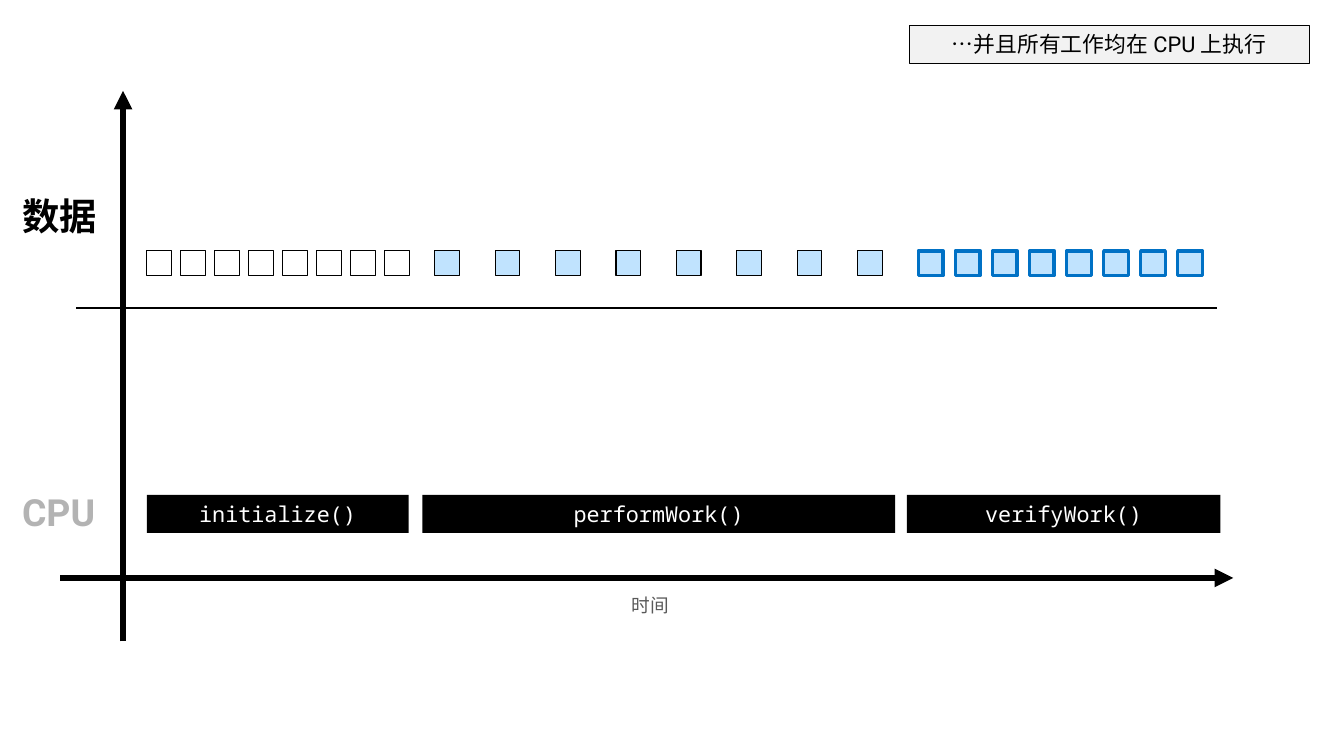
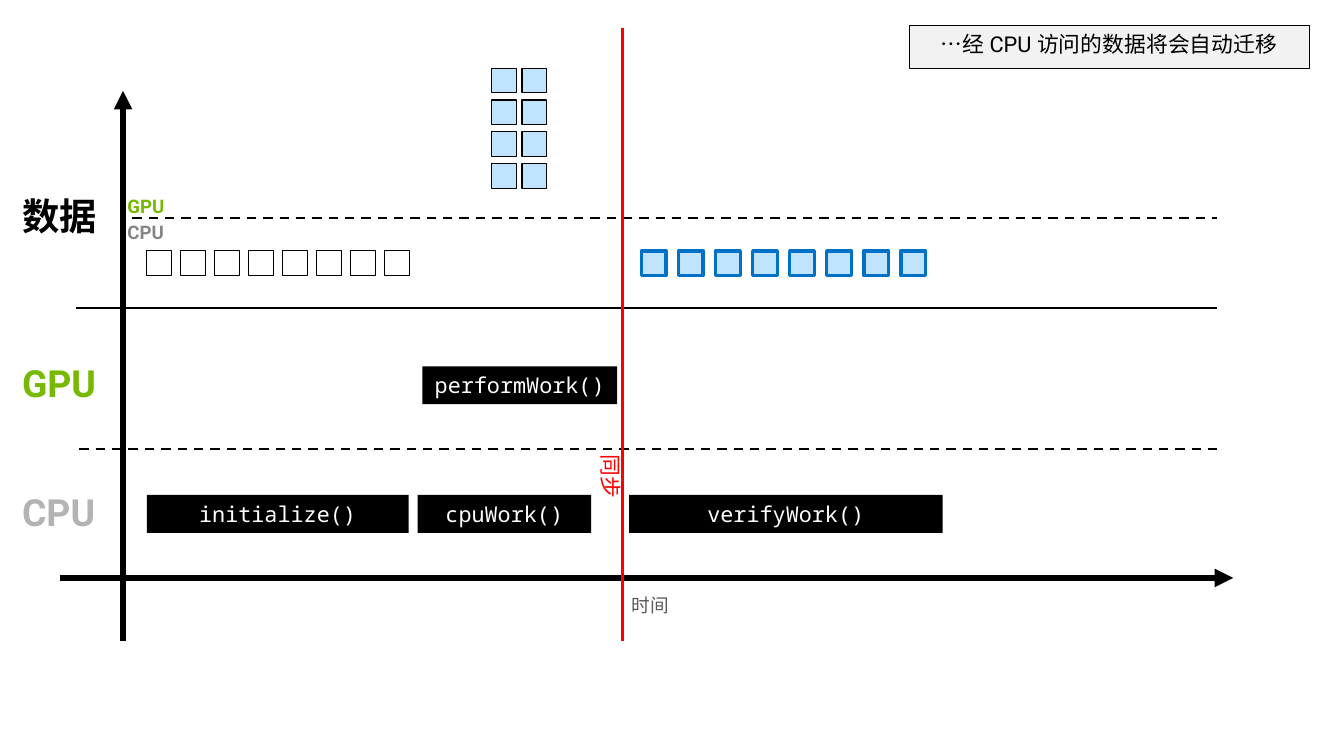
from dataclasses import dataclass
from itertools import product
from typing import Any, Optional

import pptx
import pptx.dml.color
import pptx.enum.dml
import pptx.enum.shapes
import pptx.enum.text
import pptx.oxml
import pptx.oxml.ns
import pptx.shapes.base
import pptx.slide
import pptx.util

Cm = pptx.util.Cm
Pt = pptx.util.Pt
RGBColor = pptx.dml.color.RGBColor
ALIGN = pptx.enum.text.PP_ALIGN
ANCHOR = pptx.enum.text.MSO_ANCHOR
RECTANGLE = pptx.enum.shapes.MSO_SHAPE.RECTANGLE
DASH = pptx.enum.dml.MSO_LINE.DASH

# Colours
BLACK = RGBColor(0x00, 0x00, 0x00)
WHITE = RGBColor(0xFF, 0xFF, 0xFF)
GPU_GREEN = RGBColor(0x76, 0xB9, 0x00)
CPU_GRAY = RGBColor(0xB3, 0xB3, 0xB3)
LANE_GRAY = RGBColor(0x86, 0x86, 0x86)
TIME_GRAY = RGBColor(0x59, 0x59, 0x59)
CALLOUT_GRAY = RGBColor(0xF2, 0xF2, 0xF2)
DATA_BLUE = RGBColor(0xC0, 0xE3, 0xFE)
VERIFIED_BLUE = RGBColor(0x00, 0x71, 0xC5)
SYNC_RED = RGBColor(0xFF, 0x00, 0x00)

# Text formats
ROW_FONT = {"name": "Roboto", "size": Pt(24), "bold": True}
LANE_FONT = {"name": "Roboto", "size": Pt(12), "bold": True}
TIME_FONT = {"name": "Roboto", "size": Pt(12)}
CODE_FONT = {"name": "Noto Sans Mono", "size": Pt(14)}
CALLOUT_FONT = {"name": "Arial", "size": Pt(14)}
CALLOUT_LATIN_FONT = {"name": "Roboto", "size": Pt(14)}

# Places shared by both slides, in centimetres
CELL = 0.56
DATA_TOP = 5.69
CPU_TOP = 11.23
GPU_TOP = 8.31
BAR_HEIGHT = 0.86
AXIS_BOTTOM = 14.55


@dataclass(frozen=True)
class Label:
    text: str
    left: float
    top: float
    width: float
    height: float
    font: dict[str, Any]
    color: RGBColor
    align: ALIGN = ALIGN.LEFT
    anchor: ANCHOR = ANCHOR.BOTTOM
    spacing: float = 0.9
    rotation: float = 0


@dataclass(frozen=True)
class Rule:
    x1: float
    y1: float
    x2: float
    y2: float
    width: float = 1.5
    color: RGBColor = BLACK
    dashed: bool = False
    arrow: bool = False


@dataclass(frozen=True)
class Task:
    call: str
    left: float
    width: float
    top: float = CPU_TOP


@dataclass(frozen=True)
class DataCells:
    left: float
    pitch: float
    fill: Optional[RGBColor] = DATA_BLUE
    outline: RGBColor = BLACK
    weight: float = 0.75
    top: float = DATA_TOP
    columns: int = 8
    rows: int = 1
    row_pitch: float = 0


@dataclass(frozen=True)
class Timeline:
    callout: tuple[str, str, str]
    callout_height: float
    rules: list[Rule]
    labels: list[Label]
    tasks: list[Task]
    cells: list[DataCells]
    sync: bool = False


# Content
AXES = [
    Rule(2.79, AXIS_BOTTOM, 2.79, 2.06, width=4, arrow=True),
    Rule(1.37, 13.11, 27.97, 13.11, width=4, arrow=True),
    Rule(1.73, 6.99, 27.61, 6.99),
]
AXIS_LABELS = [
    Label("CPU", 0.25, 11.07, 2.46, 1.19, ROW_FONT, CPU_GRAY),
    Label("数据", 0.25, 4.37, 2.79, 1.17, ROW_FONT, BLACK),
    Label("时间", 14, 13.36, 1.5, 0.76, TIME_FONT, TIME_GRAY, ALIGN.CENTER),
]
INITIALIZE = Task("initialize()", 3.33, 5.94)
INITIAL_CELLS = DataCells(3.33, 0.77, fill=None)
SYNC_RULE = Rule(14.12, 0.64, 14.12, AXIS_BOTTOM, color=SYNC_RED)
SYNC_LABEL = Label("同步", 12.22, 11.25, 3.25, 0.86, CALLOUT_FONT, SYNC_RED,
                   anchor=ANCHOR.TOP, spacing=1, rotation=90)

TIMELINES = [
    Timeline(
        callout=("…并且所有工作均在 ", "CPU ", "上执行"),
        callout_height=0.86,
        rules=AXES,
        labels=AXIS_LABELS,
        tasks=[INITIALIZE, Task("performWork()", 9.58, 10.72),
               Task("verifyWork()", 20.57, 7.11)],
        cells=[INITIAL_CELLS, DataCells(9.86, 1.37),
               DataCells(20.83, 0.84, outline=VERIFIED_BLUE, weight=2.25)],
    ),
    Timeline(
        callout=("…经 ", "CPU ", "访问的数据将会自动迁移"),
        callout_height=0.97,
        rules=AXES + [Rule(1.8, 10.19, 27.69, 10.19, dashed=True),
                      Rule(3, 4.95, 27.61, 4.95, dashed=True)],
        labels=AXIS_LABELS + [
            Label("GPU", 0.25, 8.15, 2.46, 1.17, ROW_FONT, GPU_GREEN),
            Label("CPU", 2.64, 4.93, 1.4, 0.71, LANE_FONT, LANE_GRAY),
            Label("GPU", 2.64, 4.34, 1.4, 0.71, LANE_FONT, GPU_GREEN),
        ],
        tasks=[INITIALIZE, Task("performWork()", 9.58, 4.42, GPU_TOP),
               Task("verifyWork()", 14.27, 7.11), Task("cpuWork()", 9.47, 3.94)],
        cells=[INITIAL_CELLS,
               DataCells(11.15, 0.69, top=1.55, columns=2, rows=4, row_pitch=0.72),
               DataCells(14.55, 0.84, outline=VERIFIED_BLUE, weight=2.25)],
        sync=True,
    ),
]


# Drawing
def write_run(paragraph: Any, text: str, font: dict[str, Any], color: RGBColor) -> None:
    run = paragraph.add_run()
    run.text = text
    for attribute, value in font.items():
        setattr(run.font, attribute, value)
    run.font.color.rgb = color


def draw_box(shapes: Any, left: float, top: float, width: float, height: float,
             fill: Optional[RGBColor], outline: Optional[RGBColor] = None,
             weight: float = 0.75) -> pptx.shapes.base.BaseShape:
    box = shapes.add_shape(RECTANGLE, Cm(left), Cm(top), Cm(width), Cm(height))
    box.shadow.inherit = False
    if fill is None:
        box.fill.background()
    else:
        box.fill.solid()
        box.fill.fore_color.rgb = fill
    if outline is None:
        box.line.fill.background()
    else:
        box.line.color.rgb = outline
        box.line.width = Pt(weight)
    return box


def draw_rule(shapes: Any, rule: Rule) -> None:
    connector = shapes.add_connector(
        pptx.enum.shapes.MSO_CONNECTOR.STRAIGHT,
        Cm(rule.x1), Cm(rule.y1), Cm(rule.x2), Cm(rule.y2))
    connector.line.color.rgb = rule.color
    connector.line.width = Pt(rule.width)
    if rule.dashed:
        connector.line.dash_style = DASH
    properties = connector._element.spPr
    if rule.arrow:
        head = pptx.oxml.parse_xml(
            f'<a:tailEnd {pptx.oxml.ns.nsdecls("a")} type="triangle"/>')
        connector.line._get_or_add_ln().append(head)
    properties.append(pptx.oxml.parse_xml(
        f'<a:effectLst {pptx.oxml.ns.nsdecls("a")}/>'))


def draw_label(shapes: Any, label: Label) -> None:
    box = shapes.add_textbox(Cm(label.left), Cm(label.top),
                             Cm(label.width), Cm(label.height))
    box.rotation = label.rotation
    frame = box.text_frame
    frame.word_wrap = True
    frame.vertical_anchor = label.anchor
    paragraph = frame.paragraphs[0]
    paragraph.alignment = label.align
    paragraph.line_spacing = label.spacing
    write_run(paragraph, label.text, label.font, label.color)


def draw_task(shapes: Any, task: Task) -> None:
    bar = draw_box(shapes, task.left, task.top, task.width, BAR_HEIGHT, BLACK)
    bar.text_frame.vertical_anchor = ANCHOR.MIDDLE
    paragraph = bar.text_frame.paragraphs[0]
    paragraph.alignment = ALIGN.CENTER
    write_run(paragraph, task.call, CODE_FONT, WHITE)


def draw_cells(shapes: Any, cells: DataCells) -> None:
    group = shapes.add_group_shape()
    for row, column in product(range(cells.rows), range(cells.columns)):
        draw_box(group.shapes, cells.left + column * cells.pitch,
                 cells.top + row * cells.row_pitch, CELL, CELL,
                 cells.fill, cells.outline, cells.weight)


def draw_callout(shapes: Any, parts: tuple[str, str, str], height: float) -> None:
    callout = draw_box(shapes, 20.62, 0.58, 9.07, height, CALLOUT_GRAY, BLACK)
    callout.text_frame.vertical_anchor = ANCHOR.TOP
    paragraph = callout.text_frame.paragraphs[0]
    paragraph.alignment = ALIGN.CENTER
    fonts = (CALLOUT_FONT, CALLOUT_LATIN_FONT, CALLOUT_FONT)
    for text, font in zip(parts, fonts):
        write_run(paragraph, text, font, BLACK)


def draw_timeline(slide: pptx.slide.Slide, timeline: Timeline) -> None:
    shapes = slide.shapes
    for rule in timeline.rules:
        draw_rule(shapes, rule)
    for label in timeline.labels:
        draw_label(shapes, label)
    for task in timeline.tasks:
        draw_task(shapes, task)
    for cells in timeline.cells:
        draw_cells(shapes, cells)
    if timeline.sync:
        sync = shapes.add_group_shape()
        draw_rule(sync.shapes, SYNC_RULE)
        draw_label(sync.shapes, SYNC_LABEL)
    draw_callout(shapes, timeline.callout, timeline.callout_height)


def main() -> None:
    deck = pptx.Presentation()
    deck.slide_width, deck.slide_height = Cm(30.48), Cm(17.15)
    blank = deck.slide_layouts[6]
    for timeline in TIMELINES:
        draw_timeline(deck.slides.add_slide(blank), timeline)
    deck.save("out.pptx")


if __name__ == "__main__":
    main()
